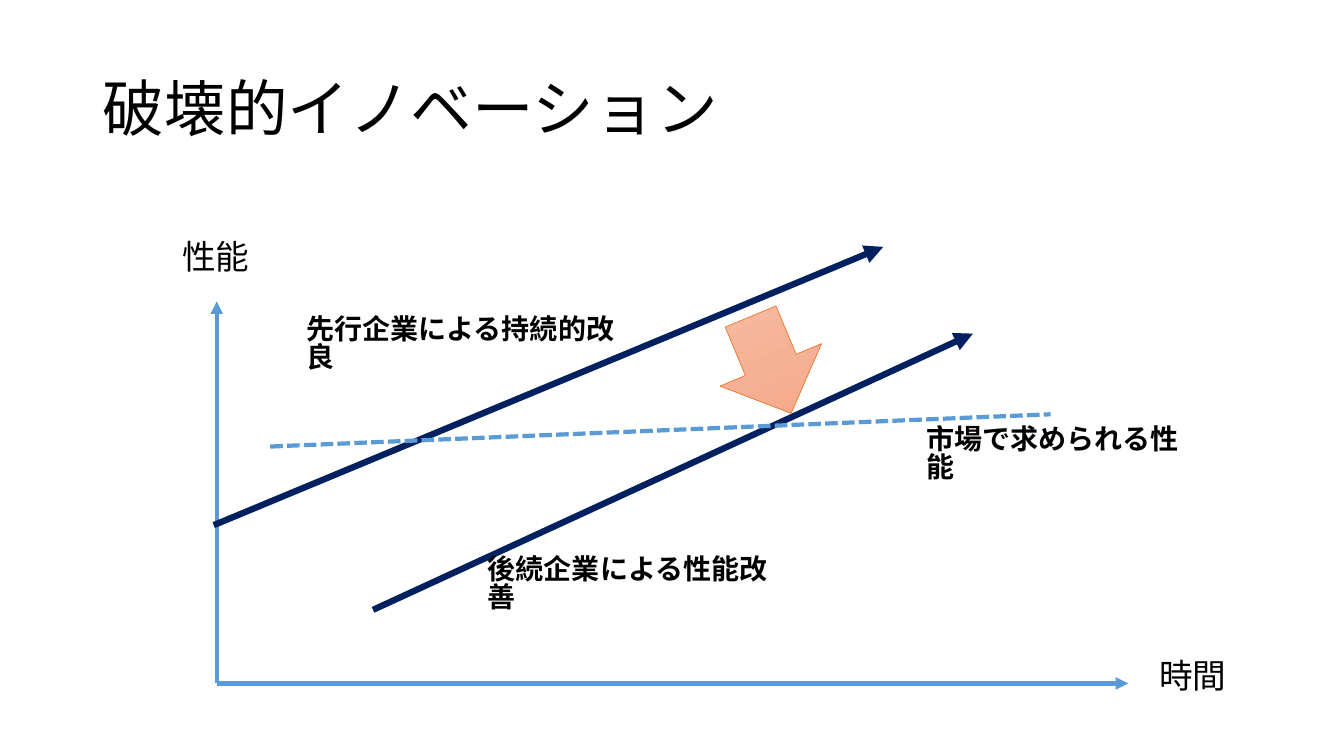
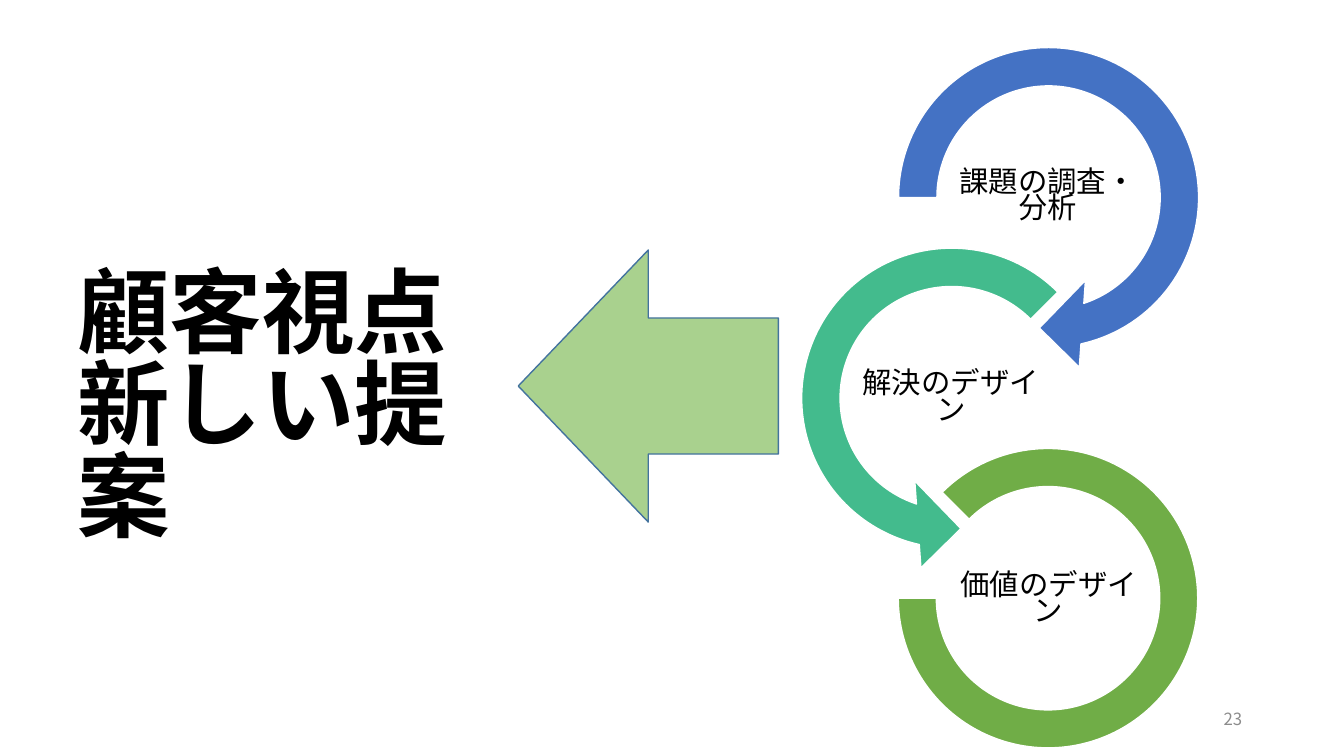
"""Build two slides on disruptive innovation and customer-centred design."""
from copy import deepcopy

from lxml import etree
from pptx import Presentation
from pptx.dml.color import RGBColor
from pptx.enum.dml import MSO_LINE
from pptx.enum.shapes import MSO_CONNECTOR, MSO_SHAPE
from pptx.enum.text import MSO_ANCHOR, PP_ALIGN
from pptx.oxml.ns import qn
from pptx.util import Inches, Pt

STRAIGHT = MSO_CONNECTOR.STRAIGHT
DASH = MSO_LINE.SQUARE_DOT
DOWN_ARROW, LEFT_ARROW = MSO_SHAPE.DOWN_ARROW, MSO_SHAPE.LEFT_ARROW
TOP, MIDDLE = MSO_ANCHOR.TOP, MSO_ANCHOR.MIDDLE
LEFT, CENTER, RIGHT = PP_ALIGN.LEFT, PP_ALIGN.CENTER, PP_ALIGN.RIGHT

FONT = "Noto Sans CJK JP"
BLACK, WHITE, GRAY = "000000", "FFFFFF", "8C8C8C"
AXIS_BLUE, NAVY, ORANGE = "5B9BD5", "002060", "ED7D31"
NORMAL_SPACING, TIGHT_SPACING = 0.83, 0.75

TITLE = "破壊的イノベーション"
ORIGIN, TIME_END, PERFORMANCE_END = (2.15, 6.78), (11.19, 6.78), (2.15, 2.99)
TREND_LINES = [
    (ORIGIN, PERFORMANCE_END, AXIS_BLUE, 3, True),
    (ORIGIN, TIME_END, AXIS_BLUE, 3, True),
    ((2.12, 5.21), (8.76, 2.45), NAVY, 4.5, True),
    ((3.7, 6.05), (9.65, 3.31), NAVY, 4.5, True),
    ((2.68, 4.43), (10.42, 4.11), AXIS_BLUE, 3, False),
]
TREND_LABELS = [
    ("時間", (11.4, 6.52, 0.88, 0.5), 24, False),
    ("性能", (1.71, 2.36, 0.88, 0.5), 24, False),
    ("先行企業による持続的改良", (2.94, 3.1, 3.39, 0.44), 20, True),
    ("後続企業による性能改善", (4.74, 5.48, 3.11, 0.44), 20, True),
    ("市場で求められる性能", (9.09, 4.19, 2.75, 0.44), 20, True),
]
ARROW_GRADIENT = [(0, "F7BDA5"), (0.5, "F5B196"), (1, "F8A582")]

MESSAGE = "顧客視点\n新しい提案"
PAGE_NUMBER = "23"
LABEL_SIZE = (1.92, 0.96)
DESIGN_STEPS = [
    ("課題の調査・分析", (9.43, 1.48), MSO_SHAPE.CIRCULAR_ARROW,
     (8.67, 0.23, 3.46, 3.46), (0.11, 11.42, 45, 108, 0.125), "4472C4"),
    ("解決のデザイン", (8.47, 3.48), MSO_SHAPE.LEFT_CIRCULAR_ARROW,
     (7.71, 2.22, 3.46, 3.46), (0.11, 11.42, 63, 189, 0.125), "43BB8D"),
    ("価値のデザイン", (9.44, 5.48), MSO_SHAPE.BLOCK_ARC,
     (8.91, 4.45, 2.97, 2.97), (135, 108, 0.127), "70AD47"),
]


def rgb(color):
    """Turn a hex string into a colour."""
    return RGBColor.from_string(color)


def inches(values):
    """Turn plain numbers into lengths."""
    return [Inches(value) for value in values]


def write(shape, text, size, color=BLACK, bold=False, align=LEFT,
          anchor=TOP, spacing=NORMAL_SPACING):
    """Fill a shape with text in the shared style."""
    text_frame = shape.text_frame
    text_frame.text = text
    text_frame.word_wrap = True
    text_frame.vertical_anchor = anchor
    for paragraph in text_frame.paragraphs:
        paragraph.alignment = align
        paragraph.line_spacing = spacing
        for run in paragraph.runs:
            run.font.size = Pt(size)
            run.font.bold = bold
            run.font.name = FONT
            run.font.color.rgb = rgb(color)
            properties = run._r.get_or_add_rPr()
            etree.SubElement(properties, qn("a:ea"), typeface=FONT)


def add_text(slide, box, text, size, **style):
    """Add a text box and return it."""
    shape = slide.shapes.add_textbox(*inches(box))
    write(shape, text, size, **style)
    return shape


def add_line(slide, start, end, color, width, arrow):
    """Add an arrow, or a dashed line when it has no head."""
    connector = slide.shapes.add_connector(STRAIGHT, *inches(start + end))
    connector.line.color.rgb = rgb(color)
    connector.line.width = Pt(width)
    if arrow:
        etree.SubElement(connector.line._get_or_add_ln(), qn("a:tailEnd"), type="triangle")
    else:
        connector.line.dash_style = DASH
    etree.SubElement(connector._element.spPr, qn("a:effectLst"))


def add_figure(slide, kind, box, fill, line, width, adjustments=()):
    """Add a preset shape with its fill and outline."""
    shape = slide.shapes.add_shape(kind, *inches(box))
    shape.shadow.inherit = False
    shape.fill.solid()
    shape.fill.fore_color.rgb = rgb(fill)
    shape.line.color.rgb = rgb(line)
    shape.line.width = Pt(width)
    for index, value in enumerate(adjustments):
        shape.adjustments[index] = value
    return shape


def apply_gradient(shape, colors):
    """Give a shape a top-to-bottom gradient of three colours."""
    shape.fill.gradient()
    shape.fill.gradient_angle = 270
    stop_list = shape._element.spPr.find(qn("a:gradFill")).find(qn("a:gsLst"))
    stop_list.append(deepcopy(stop_list[-1]))
    for stop, (position, color) in zip(shape.fill.gradient_stops, colors):
        stop.position = position
        stop.color.rgb = rgb(color)


def build_innovation_slide(presentation):
    """Draw performance against time for leaders and followers."""
    slide = presentation.slides.add_slide(presentation.slide_layouts[5])
    title = slide.shapes.title
    title.left, title.top, title.width, title.height = inches((0.92, 0.4, 11.5, 1.45))
    write(title, TITLE, 44, anchor=MIDDLE)
    for trend_line in TREND_LINES:
        add_line(slide, *trend_line)
    for text, box, size, bold in TREND_LABELS:
        add_text(slide, box, text, size, bold=bold)
    arrow = add_figure(slide, DOWN_ARROW, (7.1, 3.1, 1.09, 1.04), ORANGE, ORANGE, 0.5)
    arrow.rotation = 337.3
    apply_gradient(arrow, ARROW_GRADIENT)


def build_design_slide(presentation):
    """Draw the design steps leading to the customer message."""
    slide = presentation.slides.add_slide(presentation.slide_layouts[6])
    for text, corner, kind, box, adjustments, color in DESIGN_STEPS:
        add_figure(slide, kind, box, color, WHITE, 1, adjustments)
        label = add_text(slide, corner + LABEL_SIZE, text, 21, align=CENTER,
                         anchor=MIDDLE, spacing=TIGHT_SPACING)
        frame = label.text_frame
        frame.margin_left = frame.margin_right = Inches(0.01)
        frame.margin_top = frame.margin_bottom = Inches(0.01)
    add_text(slide, (9.42, 6.95, 3, 0.4), PAGE_NUMBER, 12, color=GRAY,
             align=RIGHT, anchor=MIDDLE)
    add_text(slide, (0.67, 2.66, 4.47, 2.32), MESSAGE, 66, bold=True)
    add_figure(slide, LEFT_ARROW, (5.14, 2.48, 2.58, 2.7), "A9D18E", "43739E", 1)


def main():
    """Build and save the presentation."""
    presentation = Presentation()
    presentation.slide_width, presentation.slide_height = inches((13.33, 7.5))
    build_innovation_slide(presentation)
    build_design_slide(presentation)
    presentation.save("out.pptx")


if __name__ == "__main__":
    main()
